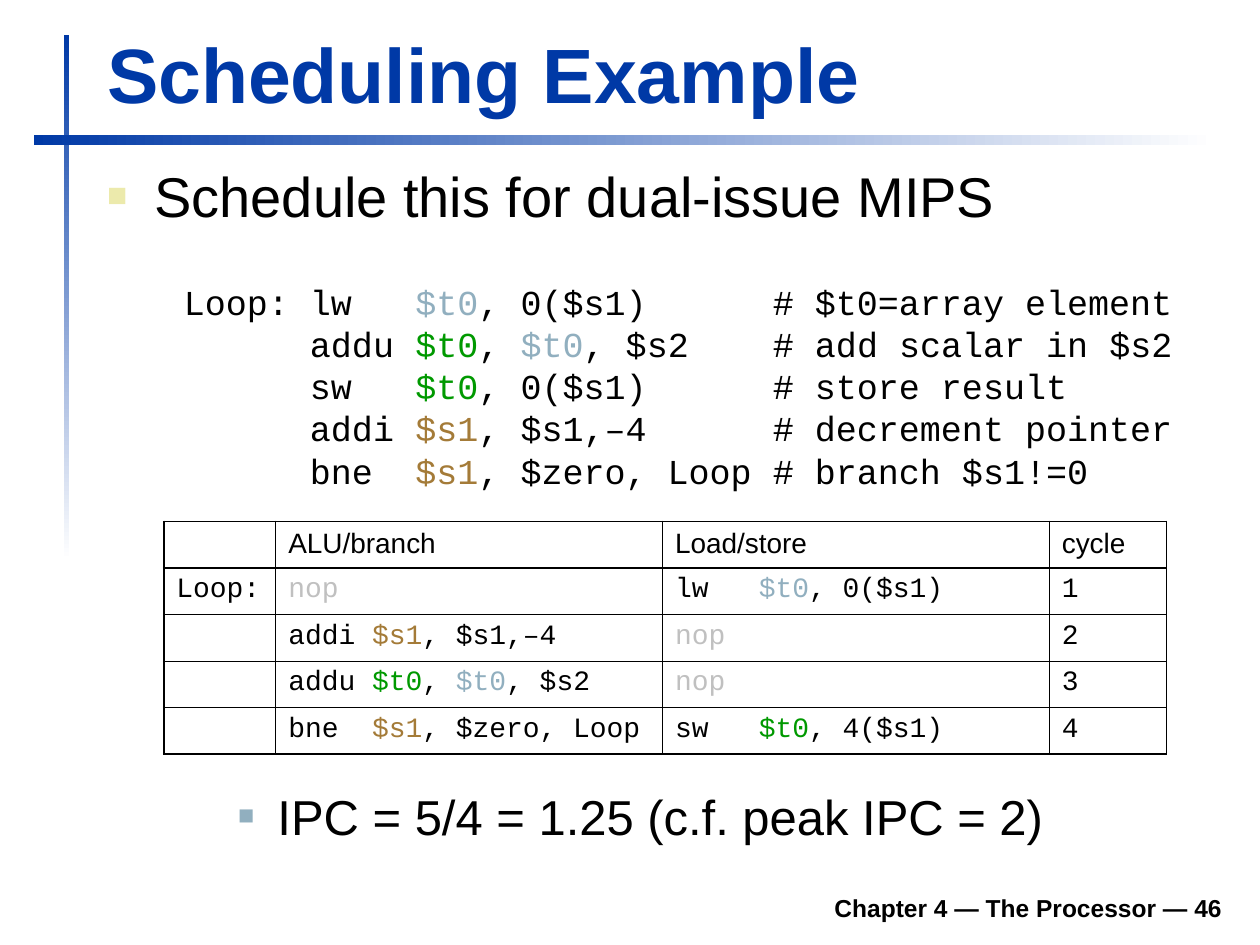
from dataclasses import dataclass

from lxml import etree
from pptx import Presentation
from pptx.dml import color as dml
from pptx.enum import shapes, text
from pptx.oxml import ns
from pptx.util import Pt

HUES = {
    "blue": "0039A6", "white": "FFFFFF", "black": "000000", "sand": "ECEAAC",
    "load": "91AFBF", "sum": "009900", "step": "A47B38", "idle": "C0C0C0",
}
SANS, MONO = "Arial", "Courier New"


@dataclass(frozen=True)
class Box:
    left: float
    top: float
    width: float
    height: float

    def area(self) -> tuple:
        return Pt(self.left), Pt(self.top), Pt(self.width), Pt(self.height)


@dataclass(frozen=True)
class Bit:
    words: str
    hue: str = "black"


@dataclass(frozen=True)
class Style:
    size: float
    face: str = SANS
    hue: str = "black"
    bold: bool = False


@dataclass(frozen=True)
class Mark:
    hue: str
    scale: int
    left: float
    hang: float


# Registers are coloured by the value they carry
LOAD, SUM, STEP = Bit("$t0", "load"), Bit("$t0", "sum"), Bit("$s1", "step")
NOP = Bit("nop", "idle")

CODE = [
    ["Loop: lw   ", LOAD, ", 0($s1)      # $t0=array element"],
    ["      addu ", SUM, ", ", LOAD, ", $s2    # add scalar in $s2"],
    ["      sw   ", SUM, ", 0($s1)      # store result"],
    ["      addi ", STEP, ", $s1,–4      # decrement pointer"],
    ["      bne  ", STEP, ", $zero, Loop # branch $s1!=0"],
]
ROWS = [
    [[], ["ALU/branch"], ["Load/store"], ["cycle"]],
    [["Loop:"], [NOP], ["lw   ", LOAD, ", 0($s1)"], ["1"]],
    [[], ["addi ", STEP, ", $s1,–4"], [NOP], ["2"]],
    [[], ["addu ", SUM, ", ", LOAD, ", $s2"], [NOP], ["3"]],
    [[], ["bne  ", STEP, ", $zero, Loop"], ["sw   ", SUM, ", 4($s1)"], ["4"]],
]
WIDTHS = [64, 221, 221, 67]
ROW = 26.6
OUTER, HEAD, INNER = 1.08, 0.75, 0.45


def rgb(hue: str) -> dml.RGBColor:
    return dml.RGBColor.from_string(HUES[hue])


def paint(run, style: Style, hue: str) -> None:
    font = run.font
    font.name, font.size, font.bold = style.face, Pt(style.size), style.bold
    font.color.rgb = rgb(hue)


def write(para, bits: list, style: Style) -> None:
    for item in bits:
        bit = item if isinstance(item, Bit) else Bit(item, style.hue)
        run = para.add_run()
        run.text = bit.words
        paint(run, style, bit.hue)


def place(shape, box: Box) -> None:
    shape.left, shape.top, shape.width, shape.height = box.area()


def label(shape, words: str, style: Style, anchor, align):
    frame = shape.text_frame
    frame.auto_size = text.MSO_AUTO_SIZE.NONE
    frame.word_wrap = True
    frame.vertical_anchor = anchor
    frame.text = words
    para = frame.paragraphs[0]
    para.alignment = align
    para.space_before = Pt(0)
    paint(para.runs[0], style, style.hue)
    return para


def bullet(para, mark: Mark) -> None:
    props = para._p.get_or_add_pPr()
    props.set("marL", str(Pt(mark.left)))
    props.set("indent", str(-Pt(mark.hang)))
    tint = etree.SubElement(props, ns.qn("a:buClr"))
    etree.SubElement(tint, ns.qn("a:srgbClr"), val=HUES[mark.hue])
    etree.SubElement(props, ns.qn("a:buSzPct"), val=str(mark.scale * 1000))
    etree.SubElement(props, ns.qn("a:buFont"), typeface=SANS)
    etree.SubElement(props, ns.qn("a:buChar"), char="■")


def fade(slide, box: Box, angle: int) -> None:
    bar = slide.shapes.add_shape(shapes.MSO_SHAPE.RECTANGLE, *box.area())
    bar.shadow.inherit = False
    bar.line.fill.background()
    bar.fill.gradient()
    bar.fill.gradient_angle = angle
    for stop, hue in zip(bar.fill.gradient_stops, ("blue", "white")):
        stop.color.rgb = rgb(hue)


def border(cell, sides: dict) -> None:
    props = cell._tc.get_or_add_tcPr()
    for spot, (side, width) in enumerate(sides.items()):
        line = etree.Element(ns.qn(f"a:ln{side}"), w=str(Pt(width)))
        fill = etree.SubElement(line, ns.qn("a:solidFill"))
        etree.SubElement(fill, ns.qn("a:srgbClr"), val=HUES["black"])
        props.insert(spot, line)


def grid(slide, left: float, top: float) -> None:
    box = Box(left, top, sum(WIDTHS), ROW * len(ROWS))
    table = slide.shapes.add_table(len(ROWS), len(WIDTHS), *box.area()).table
    table.first_row = table.horz_banding = False
    for col, width in zip(table.columns, WIDTHS):
        col.width = Pt(width)
    # Line widths by edge, from first to last
    down = [OUTER] + [INNER] * (len(WIDTHS) - 1) + [OUTER]
    cross = [OUTER, HEAD] + [INNER] * (len(ROWS) - 2) + [OUTER]
    for r, row in enumerate(ROWS):
        table.rows[r].height = Pt(ROW)
        style = Style(16, MONO if r else SANS)
        for c, bits in enumerate(row):
            cell = table.cell(r, c)
            cell.fill.background()
            border(cell, {"L": down[c], "R": down[c + 1],
                          "T": cross[r], "B": cross[r + 1]})
            para = cell.text_frame.paragraphs[0]
            write(para, bits, style)
            if not bits:
                para._p.get_or_add_endParaRPr().set("sz", "1600")


def main() -> None:
    deck = Presentation()
    deck.slide_width, deck.slide_height = Pt(720), Pt(540)
    slide = deck.slides.add_slide(deck.slide_layouts[1])
    title, body = slide.placeholders
    top, low = text.MSO_ANCHOR.TOP, text.MSO_ANCHOR.BOTTOM
    left, right = text.PP_ALIGN.LEFT, text.PP_ALIGN.RIGHT

    # Crossing bars
    fade(slide, Box(36.7, 20.2, 2.9, 300), 270)
    fade(slide, Box(19.5, 77, 675, 6), 0)

    # Title and lead point
    place(title, Box(54, 11.5, 650, 60))
    label(title, "Scheduling Example", Style(44, SANS, "blue", True), low, left)
    place(body, Box(54, 88.5, 651, 55))
    para = label(body, "Schedule this for dual-issue MIPS", Style(32), top, left)
    bullet(para, Mark("sand", 60, 27, 27))

    # Assembly listing
    code = slide.shapes.add_textbox(*Box(98, 157, 581, 127.4).area())
    code.text_frame.word_wrap = False
    para = code.text_frame.paragraphs[0]
    para.line_spacing = Pt(24)
    for spot, line in enumerate(CODE):
        if spot:
            para.add_line_break()
        write(para, line, Style(20, MONO))

    # Issue schedule
    grid(slide, 93.6, 298)

    # Result and footer
    note = slide.shapes.add_textbox(*Box(93, 445.7, 612, 51).area())
    para = label(note, "IPC = 5/4 = 1.25 (c.f. peak IPC = 2)", Style(28), top, left)
    para.level = 1
    bullet(para, Mark("load", 55, 58.5, 22.5))
    foot = slide.shapes.add_textbox(*Box(133, 502.5, 572.5, 28).area())
    label(foot, "Chapter 4 — The Processor — 46", Style(14, bold=True), low, right)

    deck.save("out.pptx")


if __name__ == "__main__":
    main()
